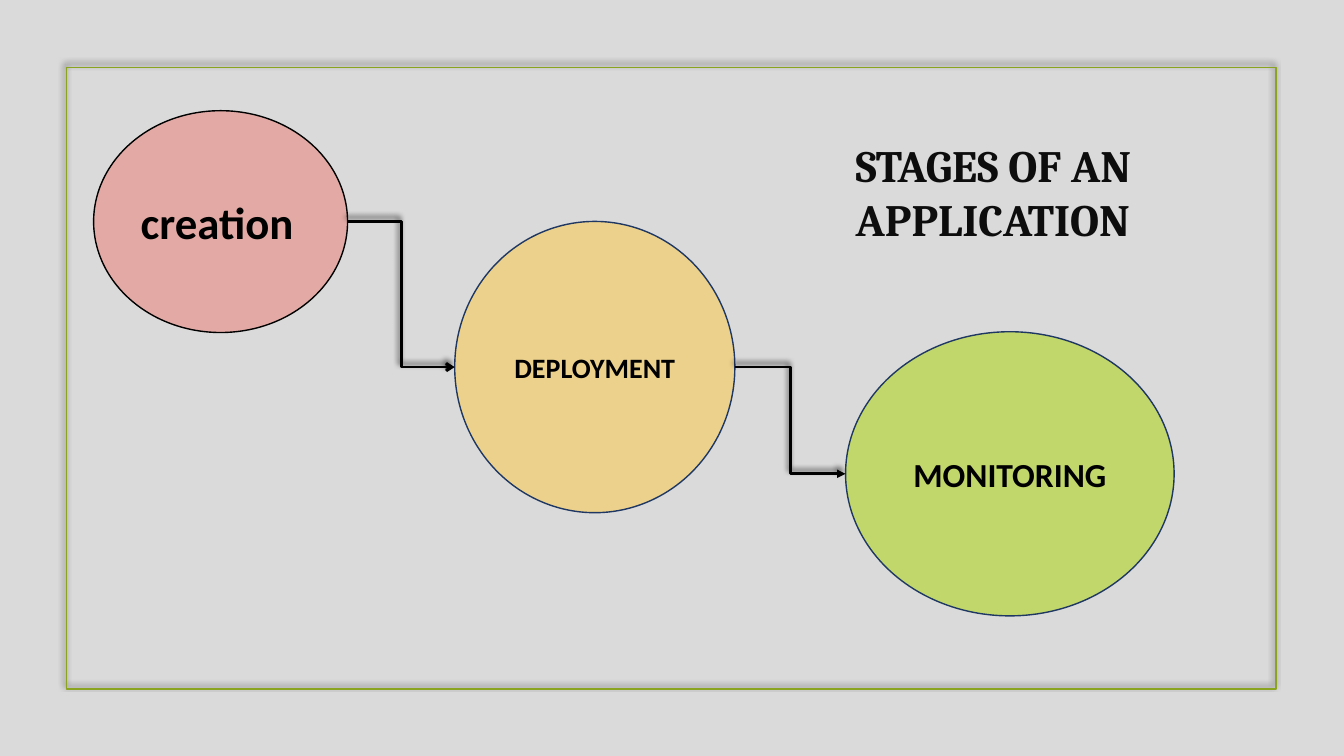
"""Build a slide showing the three stages of an application."""
import itertools
from dataclasses import dataclass

import pptx
import pptx.dml.color
import pptx.enum.shapes
import pptx.enum.text
import pptx.oxml
import pptx.oxml.ns
import pptx.util

Cm = pptx.util.Cm
Pt = pptx.util.Pt
ALIGN = pptx.enum.text.PP_ALIGN
ANCHOR = pptx.enum.text.MSO_ANCHOR
SHAPE = pptx.enum.shapes.MSO_SHAPE

COLORS = {
    "background": "DADADA",
    "frame": "8AA41F",
    "rose": "E3AAA5",
    "sand": "EBD18C",
    "lime": "C1D66B",
    "navy": "1F3763",
    "black": "000000",
    "title": "0D0D0D",
}


@dataclass
class Stage:
    """An ellipse with a label and the arrowhead that leaves it."""
    text: str
    box: tuple[float, float, float, float]
    fill: str
    line: str
    size: int
    align: ALIGN
    head: str = ""


STAGES = [
    Stage("creation", (2.36, 2.79, 6.4, 5.59), "rose", "black", 32, ALIGN.LEFT, "arrow"),
    Stage("DEPLOYMENT", (11.46, 5.58, 7.06, 7.34), "sand", "navy", 20, ALIGN.CENTER, "triangle"),
    Stage("MONITORING", (21.31, 8.36, 8.28, 7.16), "lime", "navy", 24, ALIGN.CENTER),
]


def rgb(name: str) -> pptx.dml.color.RGBColor:
    """Return the named colour."""
    return pptx.dml.color.RGBColor.from_string(COLORS[name])


def set_line(line, color: str, width: float) -> None:
    """Give a line its colour and width."""
    line.color.rgb = rgb(color)
    line.width = Pt(width)


def add_shadow(sp) -> None:
    """Add a soft outer shadow to a shape or connector."""
    sp._element.spPr.append(pptx.oxml.parse_xml(
        f'<a:effectLst {pptx.oxml.ns.nsdecls("a")}>'
        f'<a:outerShdw blurRad="{Pt(4)}" dist="{Pt(3)}" dir="{245 * 60000}" rotWithShape="0">'
        f'<a:srgbClr val="{COLORS["black"]}"><a:alpha val="60000"/></a:srgbClr>'
        '</a:outerShdw></a:effectLst>'))


def set_text(sp, text: str, align: ALIGN, color: str, font: dict) -> None:
    """Write one formatted paragraph into a shape."""
    sp.text_frame.word_wrap = True
    p = sp.text_frame.paragraphs[0]
    p.alignment = align
    r = p.add_run()
    r.text = text
    for key, value in font.items():
        setattr(r.font, key, value)
    r.font.color.rgb = rgb(color)


def add_frame(s) -> None:
    """Draw the outlined frame around the content."""
    sp = s.shapes.add_shape(SHAPE.RECTANGLE, Cm(1.68), Cm(1.7), Cm(30.48), Cm(15.67))
    sp.fill.background()
    set_line(sp.line, "frame", 1.25)
    add_shadow(sp)


def add_stage(s, stage: Stage):
    """Draw one stage ellipse and return it."""
    sp = s.shapes.add_shape(SHAPE.OVAL, *map(Cm, stage.box))
    sp.shadow.inherit = False
    sp.fill.solid()
    sp.fill.fore_color.rgb = rgb(stage.fill)
    set_line(sp.line, stage.line, 1)
    sp.text_frame.vertical_anchor = ANCHOR.MIDDLE
    font = {"name": "Calibri", "size": Pt(stage.size), "bold": True}
    set_text(sp, stage.text, stage.align, "black", font)
    return sp


def add_arrow(s, start, end, head: str) -> None:
    """Join the right side of one ellipse to the left side of the next."""
    cxn = s.shapes.add_connector(
        pptx.enum.shapes.MSO_CONNECTOR.ELBOW,
        start.left + start.width, start.top + start.height // 2,
        end.left, end.top + end.height // 2)
    set_line(cxn.line, "black", 2)
    cxn.line._get_or_add_ln().append(pptx.oxml.parse_xml(
        f'<a:tailEnd {pptx.oxml.ns.nsdecls("a")} type="{head}"/>'))
    add_shadow(cxn)


def add_title(s) -> None:
    """Place and format the slide title."""
    sp = s.shapes.title
    box = {"left": Cm(21.31), "top": Cm(3.35), "width": Cm(9.22), "height": Cm(3)}
    for key, value in box.items():
        setattr(sp, key, value)
    sp.text_frame.vertical_anchor = ANCHOR.TOP
    sp.text_frame.auto_size = pptx.enum.text.MSO_AUTO_SIZE.SHAPE_TO_FIT_TEXT
    font = {"name": "Cambria", "size": Pt(32), "bold": True}
    set_text(sp, "STAGES OF AN APPLICATION", ALIGN.LEFT, "title", font)


def main() -> None:
    """Build and save the presentation."""
    prs = pptx.Presentation()
    prs.slide_width, prs.slide_height = Cm(33.87), Cm(19.05)
    s = prs.slides.add_slide(prs.slide_layouts[5])
    s.background.fill.solid()
    s.background.fill.fore_color.rgb = rgb("background")
    add_frame(s)
    ovals = [add_stage(s, stage) for stage in STAGES]
    for stage, (start, end) in zip(STAGES, itertools.pairwise(ovals)):
        add_arrow(s, start, end, stage.head)
    add_title(s)
    prs.save("out.pptx")


if __name__ == "__main__":
    main()
